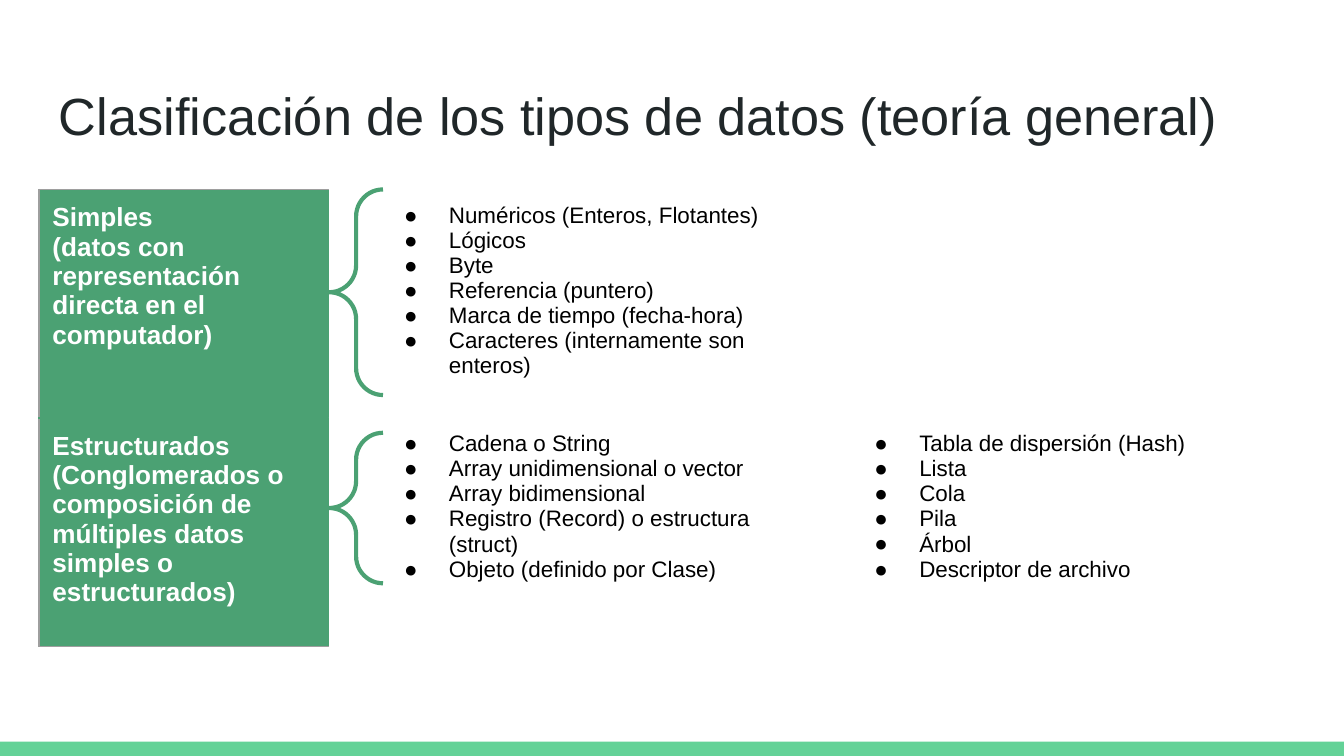
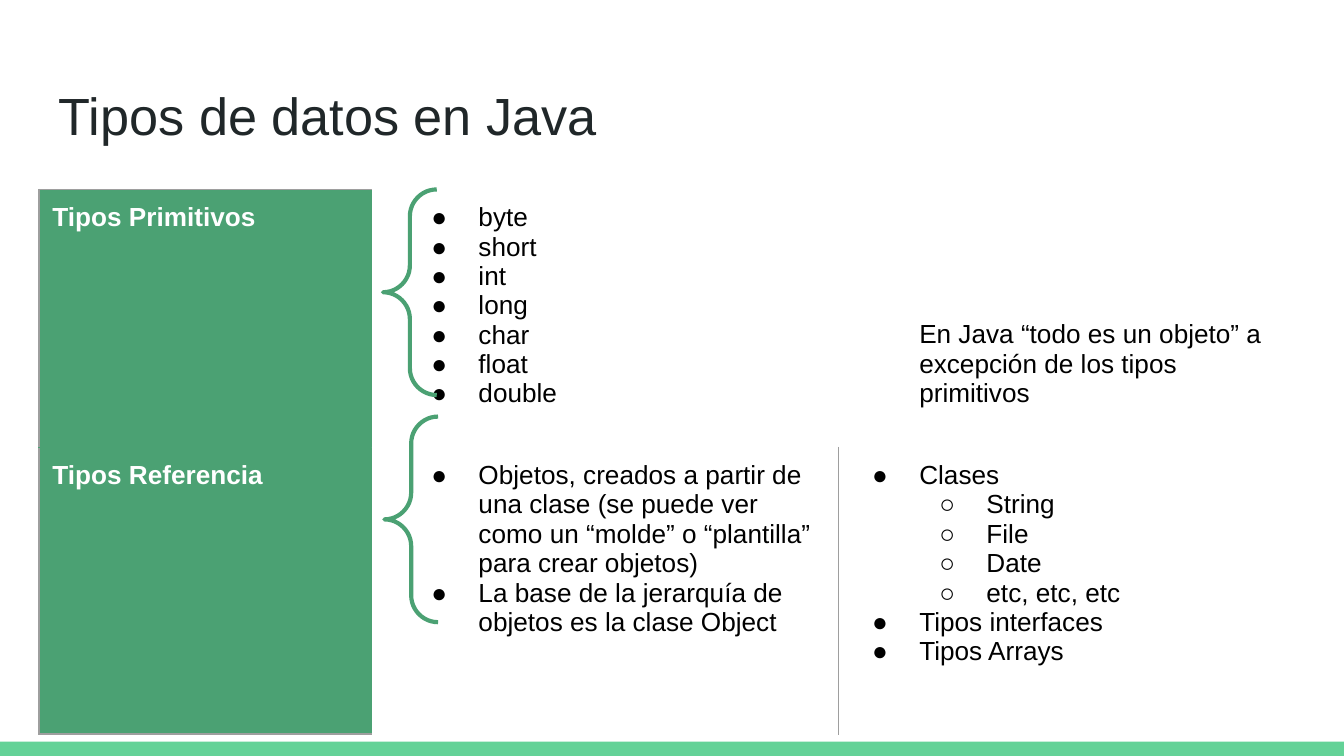
from dataclasses import dataclass, field

from lxml.etree import SubElement
from pptx import Presentation
from pptx.dml.color import RGBColor
from pptx.enum.shapes import MSO_SHAPE
from pptx.enum.text import MSO_ANCHOR
from pptx.oxml.ns import qn
from pptx.slide import Slide
from pptx.table import _Cell
from pptx.text.text import TextFrame, _Paragraph
from pptx.util import Pt

COLORS = {
    "band": "63D297",
    "green": "4BA173",
    "gray": "9E9E9E",
    "title": "202729",
    "white": "FFFFFF",
    "black": "000000",
}
FONT = "Arial"
INSET = 7.2
TABLE_LEFT = 20.88
TABLE_TOP = 101.52
SUBLEVEL_INDENT = 36


@dataclass(frozen=True)
class Line:
    text: str
    level: int = 0


@dataclass(frozen=True)
class CellContent:
    lines: list[Line] = field(default_factory=list)
    size: float = 14
    color: str = "black"
    bold: bool = False
    indent: float = 0
    hanging: float = 0
    margin_top: float = INSET
    fill: str | None = None
    borders: dict[str, str] = field(default_factory=dict)


@dataclass(frozen=True)
class Brace:
    left: float
    top: float
    height: float


@dataclass(frozen=True)
class Page:
    title: str
    columns: list[float]
    rows: list[float]
    cells: list[list[CellContent]]
    braces: list[Brace]


def lines_of(*texts: str) -> list[Line]:
    return [Line(text) for text in texts]


def category(*texts: str, first: bool) -> CellContent:
    top, bottom = ("gray", "green") if first else ("green", "gray")
    return CellContent(
        lines_of(*texts), color="white", bold=True, fill="green",
        borders={"L": "gray", "T": top, "B": bottom},
    )


PAGES = [
    Page(
        title="Clasificación de los tipos de datos (teoría general)",
        columns=[155.52, 272.88, 249.84],
        rows=[122.4, 122.4],
        cells=[
            [
                category("Simples", "(datos con representación directa en el computador)", first=True),
                CellContent(
                    lines_of(
                        "Numéricos (Enteros, Flotantes)", "Lógicos", "Byte", "Referencia (puntero)",
                        "Marca de tiempo (fecha-hora)", "Caracteres (internamente son enteros)",
                    ),
                    size=12, indent=56.88, hanging=24,
                ),
                CellContent(),
            ],
            [
                category(
                    "Estructurados",
                    "(Conglomerados o composición de múltiples datos simples o estructurados)",
                    first=False,
                ),
                CellContent(
                    lines_of(
                        "Cadena o String", "Array unidimensional o vector", "Array bidimensional",
                        "Registro (Record) o estructura (struct)", "Objeto (definido por Clase)",
                    ),
                    size=12, indent=56.88, hanging=24,
                ),
                CellContent(
                    lines_of(
                        "Tabla de dispersión (Hash)", "Lista", "Cola", "Pila", "Árbol",
                        "Descriptor de archivo",
                    ),
                    size=12, indent=36, hanging=24,
                ),
            ],
        ],
        braces=[Brace(176.4, 101.52, 110.16), Brace(176.4, 231.84, 80.64)],
    ),
    Page(
        title="Tipos de datos en Java",
        columns=[178.56, 249.84, 249.84],
        rows=[138.2, 153.6],
        cells=[
            [
                category("Tipos Primitivos", first=True),
                CellContent(
                    lines_of("byte", "short", "int", "long", "char", "float", "double"),
                    indent=49.68, hanging=25.2,
                ),
                CellContent(
                    lines_of("En Java “todo es un objeto” a excepción de los tipos primitivos"),
                    indent=36, margin_top=70,
                ),
            ],
            [
                category("Tipos Referencia", first=False),
                CellContent(
                    lines_of(
                        "Objetos, creados a partir de una clase (se puede ver como un “molde” "
                        "o “plantilla” para crear objetos)",
                        "La base de la jerarquía de objetos es la clase Object",
                    ),
                    indent=49.68, hanging=25.2, borders={"R": "gray"},
                ),
                CellContent(
                    [
                        Line("Clases"),
                        *(Line(text, 1) for text in ("String", "File", "Date", "etc, etc, etc")),
                        *lines_of("Tipos interfaces", "Tipos Arrays"),
                    ],
                    indent=36, hanging=25.2, borders={"L": "gray"},
                ),
            ],
        ],
        braces=[Brace(205.92, 223.2, 110.16), Brace(205.2, 101.52, 110.16)],
    ),
]


def color_of(name: str) -> RGBColor:
    return RGBColor.from_string(COLORS[name])


def set_insets(target: TextFrame | _Cell, top: float = INSET, bottom: float = INSET) -> None:
    target.margin_left = target.margin_right = Pt(INSET)
    target.margin_top = Pt(top)
    target.margin_bottom = Pt(bottom)


def write_text(
    para: _Paragraph, text: str, *, size: float, color: str, bold: bool = False
) -> None:
    span = para.add_run()
    span.text = text
    span.font.name = FONT
    span.font.size = Pt(size)
    span.font.bold = bold
    span.font.color.rgb = color_of(color)


def set_indent(para: _Paragraph, level: int, indent: float, hanging: float) -> None:
    para.level = level
    properties = para._p.get_or_add_pPr()
    properties.set("marL", str(Pt(indent + level * SUBLEVEL_INDENT)))
    properties.set("indent", str(-Pt(hanging)))
    if hanging:
        bullet_color = SubElement(properties, qn("a:buClr"))
        SubElement(bullet_color, qn("a:srgbClr"), val=COLORS["black"])
        SubElement(properties, qn("a:buFont"), typeface=FONT)
        SubElement(properties, qn("a:buChar"), char="○" if level else "●")


def set_borders(cell: _Cell, borders: dict[str, str]) -> None:
    properties = cell._tc.get_or_add_tcPr()
    for side in "LRTB":
        border = SubElement(properties, qn(f"a:ln{side}"), w=str(Pt(0.75)))
        fill = SubElement(border, qn("a:solidFill"))
        SubElement(fill, qn("a:srgbClr"), val=COLORS[borders.get(side, "white")])


def fill_cell(cell: _Cell, content: CellContent) -> None:
    set_borders(cell, content.borders)
    if content.fill:
        cell.fill.solid()
        cell.fill.fore_color.rgb = color_of(content.fill)
    else:
        cell.fill.background()
    set_insets(cell, top=content.margin_top)
    cell.vertical_anchor = MSO_ANCHOR.TOP
    frame = cell.text_frame
    for index, line in enumerate(content.lines):
        para = frame.add_paragraph() if index else frame.paragraphs[0]
        set_indent(para, line.level, content.indent, content.hanging)
        write_text(para, line.text, size=content.size, color=content.color, bold=content.bold)


def draw_band(slide: Slide) -> None:
    band = slide.shapes.add_shape(MSO_SHAPE.RECTANGLE, Pt(0), Pt(397.4), Pt(720), Pt(7.6))
    band.shadow.inherit = False
    band.fill.solid()
    band.fill.fore_color.rgb = color_of("band")
    band.line.fill.background()


def draw_title(slide: Slide, title: str) -> None:
    box = slide.shapes.add_textbox(Pt(24.5), Pt(35.3), Pt(671), Pt(45.4))
    frame = box.text_frame
    frame.word_wrap = True
    frame.vertical_anchor = MSO_ANCHOR.TOP
    set_insets(frame, top=9.2, bottom=0)
    write_text(frame.paragraphs[0], title, size=28, color="title")


def draw_table(slide: Slide, page: Page) -> None:
    table = slide.shapes.add_table(
        len(page.rows), len(page.columns), Pt(TABLE_LEFT), Pt(TABLE_TOP),
        Pt(sum(page.columns)), Pt(sum(page.rows)),
    ).table
    table.first_row = table.horz_banding = False
    for column, width in zip(table.columns, page.columns):
        column.width = Pt(width)
    for row, height, contents in zip(table.rows, page.rows, page.cells):
        row.height = Pt(height)
        for cell, content in zip(row.cells, contents):
            fill_cell(cell, content)


def draw_brace(slide: Slide, brace: Brace) -> None:
    shape = slide.shapes.add_shape(
        MSO_SHAPE.LEFT_BRACE, Pt(brace.left), Pt(brace.top), Pt(28.8), Pt(brace.height)
    )
    shape.shadow.inherit = False
    shape.adjustments[0] = shape.adjustments[1] = 0.5
    shape.fill.background()
    shape.line.color.rgb = color_of("green")
    shape.line.width = Pt(2.25)


def main() -> None:
    deck = Presentation()
    deck.slide_width, deck.slide_height = Pt(720), Pt(405)
    for page in PAGES:
        slide = deck.slides.add_slide(deck.slide_layouts[6])
        draw_band(slide)
        draw_title(slide, page.title)
        draw_table(slide, page)
        for brace in page.braces:
            draw_brace(slide, brace)
    deck.save("out.pptx")


if __name__ == "__main__":
    main()
